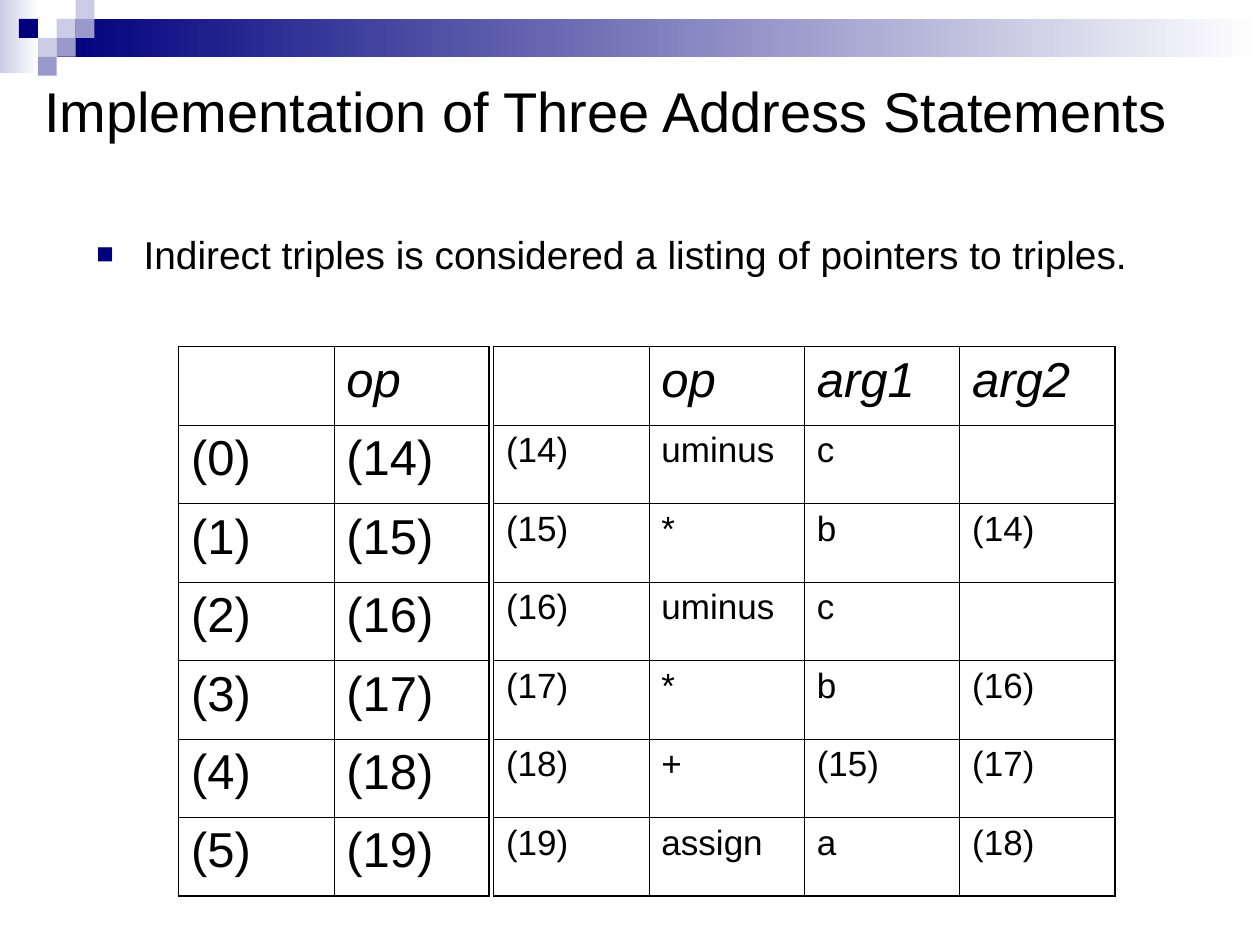
"""Build the slide on indirect triples with its two linked tables."""
import lxml.etree
import pptx
import pptx.dml.color
import pptx.enum.shapes
import pptx.enum.text
import pptx.oxml.ns
import pptx.util

Pt = pptx.util.Pt
qn = pptx.oxml.ns.qn

FONT = "Arial"
BLACK, WHITE, NAVY, PALE, MID = "000000", "FFFFFF", "00007D", "CCCCE6", "9999CC"
TITLE = "Implementation of Three Address Statements"
BULLET = "Indirect triples is considered a listing of pointers to triples."

BANDS = [
    ((0, 0, 22.3, 41.8), PALE),
    ((32.4, 10.8, 687.6, 21.6), NAVY),
]
SQUARE = 10.8
SQUARES = [
    (3, 1, PALE), (4, 0, PALE), (4, 1, MID), (2, 2, PALE),
    (1, 1, NAVY), (3, 2, MID), (2, 3, MID),
]

POINTERS = [["", "op"]] + [[f"({i})", f"({i + 14})"] for i in range(6)]
TRIPLES = [
    ["", "op", "arg1", "arg2"],
    ["(14)", "uminus", "c", ""],
    ["(15)", "*", "b", "(14)"],
    ["(16)", "uminus", "c", ""],
    ["(17)", "*", "b", "(16)"],
    ["(18)", "+", "(15)", "(17)"],
    ["(19)", "assign", "a", "(18)"],
]
TABLES = [(282, TRIPLES, 20), (102, POINTERS, 28)]
TABLE_TOP, COLUMN_WIDTH, ROW_HEIGHT, HEADER_SIZE = 198, 88.8, 44.85, 28
INNER_LINE, OUTER_LINE = 0.45, 1.08


def color(value):
    return pptx.dml.color.RGBColor.from_string(value)


def style_font(paragraph, size, italic=False):
    font = paragraph.font
    font.name, font.size, font.italic, font.bold = FONT, Pt(size), italic, False
    font.color.rgb = color(BLACK)


def add_rectangle(slide, box, fill, fade=False):
    shape = slide.shapes.add_shape(
        pptx.enum.shapes.MSO_SHAPE.RECTANGLE, *[Pt(length) for length in box])
    shape.shadow.inherit = False
    shape.line.fill.background()
    if fade:
        shape.fill.gradient()
        shape.fill.gradient_angle = 0
        for stop, position, value in zip(shape.fill.gradient_stops, (0, 1), (fill, WHITE)):
            stop.position = position
            stop.color.rgb = color(value)
    else:
        shape.fill.solid()
        shape.fill.fore_color.rgb = color(fill)


def add_title(slide):
    title = slide.shapes.title
    title.left, title.top, title.width, title.height = Pt(18), Pt(36), Pt(690), Pt(54)
    frame = title.text_frame
    frame.text = TITLE
    frame.vertical_anchor = pptx.enum.text.MSO_ANCHOR.MIDDLE
    frame.paragraphs[0].alignment = pptx.enum.text.PP_ALIGN.LEFT
    style_font(frame.paragraphs[0], 32)


def add_bullet(slide):
    frame = slide.shapes.add_textbox(Pt(48), Pt(128), Pt(648), Pt(58)).text_frame
    frame.word_wrap = True
    frame.text = BULLET
    paragraph = frame.paragraphs[0]
    properties = paragraph._p.get_or_add_pPr()
    properties.set("marL", str(Pt(27)))
    properties.set("indent", str(-Pt(27)))
    bullet_color = lxml.etree.SubElement(properties, qn("a:buClr"))
    lxml.etree.SubElement(bullet_color, qn("a:srgbClr"), val=NAVY)
    lxml.etree.SubElement(properties, qn("a:buSzPct"), val="75000")
    lxml.etree.SubElement(properties, qn("a:buFont"), typeface=FONT)
    lxml.etree.SubElement(properties, qn("a:buChar"), char="■")
    style_font(paragraph, 22.2)


def set_borders(cell, outer_sides):
    properties = cell._tc.get_or_add_tcPr()
    for index, side in enumerate("LRTB"):
        width = OUTER_LINE if side in outer_sides else INNER_LINE
        line = lxml.etree.Element(qn(f"a:ln{side}"), w=str(Pt(width)))
        fill = lxml.etree.SubElement(line, qn("a:solidFill"))
        lxml.etree.SubElement(fill, qn("a:srgbClr"), val=BLACK)
        properties.insert(index, line)


def add_table(slide, left, rows, body_size):
    row_count, column_count = len(rows), len(rows[0])
    table = slide.shapes.add_table(
        row_count, column_count, Pt(left), Pt(TABLE_TOP),
        Pt(COLUMN_WIDTH * column_count), Pt(ROW_HEIGHT * row_count)).table
    table.first_row = table.horz_banding = False
    for column in table.columns:
        column.width = Pt(COLUMN_WIDTH)
    for row_index, texts in enumerate(rows):
        table.rows[row_index].height = Pt(ROW_HEIGHT)
        header = row_index == 0
        for column_index, text in enumerate(texts):
            cell = table.cell(row_index, column_index)
            cell.fill.background()
            cell.text_frame.text = text
            style_font(cell.text_frame.paragraphs[0],
                       HEADER_SIZE if header else body_size, header)
            edges = {"L": column_index == 0, "R": column_index == column_count - 1,
                     "T": header, "B": row_index == row_count - 1}
            set_borders(cell, [side for side, outer in edges.items() if outer])


def main():
    presentation = pptx.Presentation()
    presentation.slide_width, presentation.slide_height = Pt(720), Pt(540)
    slide = presentation.slides.add_slide(presentation.slide_layouts[5])
    for box, fill in BANDS:
        add_rectangle(slide, box, fill, fade=True)
    for column, row, fill in SQUARES:
        add_rectangle(slide, (column * SQUARE, row * SQUARE, SQUARE, SQUARE), fill)
    add_title(slide)
    add_bullet(slide)
    for left, rows, body_size in TABLES:
        add_table(slide, left, rows, body_size)
    presentation.save("out.pptx")


if __name__ == "__main__":
    main()
